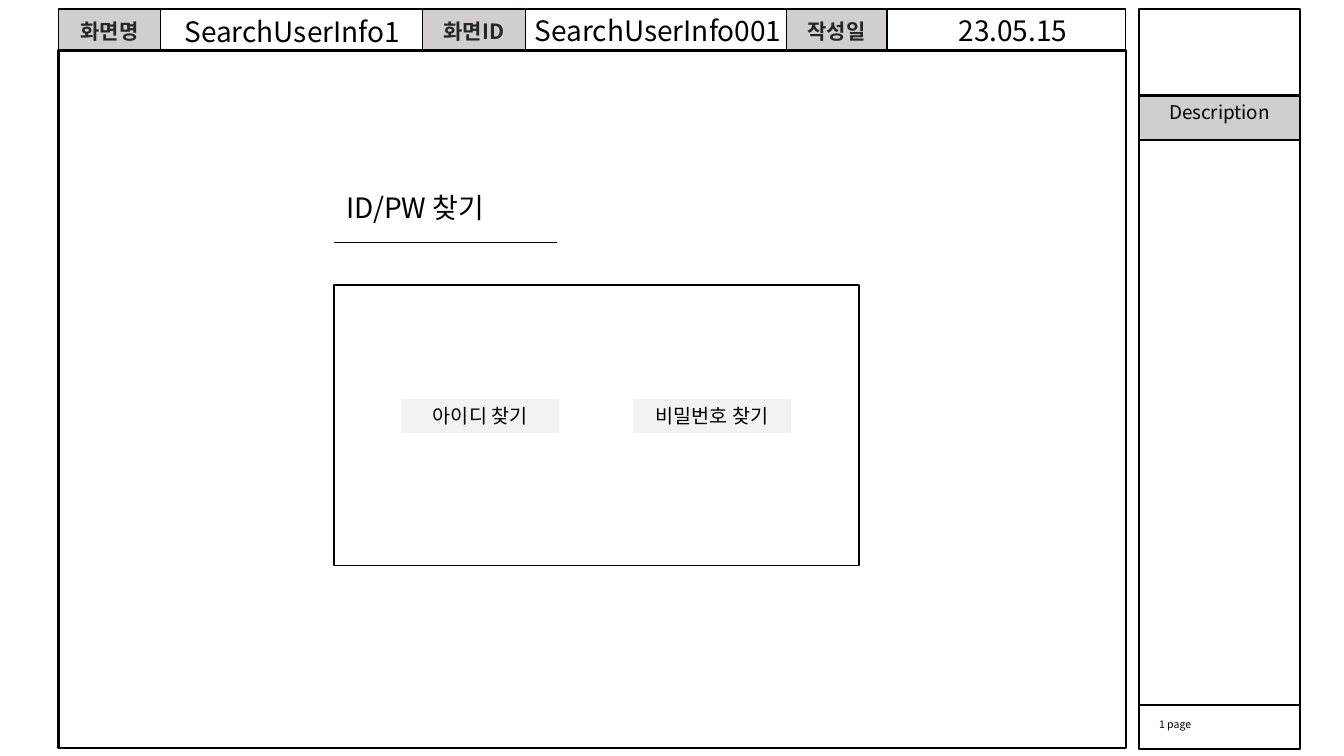
"""Build the ID/PW search screen of a storyboard."""
from lxml import etree
from pptx import Presentation
from pptx.dml.color import RGBColor
from pptx.enum import shapes, text
from pptx.oxml import ns
from pptx.util import Pt

FONT = "Noto Sans CJK KR"
BLACK = RGBColor(0x00, 0x00, 0x00)
CHARCOAL = RGBColor(0x26, 0x26, 0x26)
GREY = RGBColor(0xD0, 0xCE, 0xCE)
PALE = RGBColor(0xF2, 0xF2, 0xF2)
LEFT, CENTER = text.PP_ALIGN.LEFT, text.PP_ALIGN.CENTER
TOP, MIDDLE = text.MSO_ANCHOR.TOP, text.MSO_ANCHOR.MIDDLE


def write(tf, string, size=20, color=BLACK, bold=False, align=CENTER, anchor=TOP):
    tf.word_wrap = True
    tf.vertical_anchor = anchor
    p = tf.paragraphs[0]
    p.alignment = align
    r = p.add_run()
    r.text = string
    r.font.size, r.font.bold, r.font.name = Pt(size), bold, FONT
    r.font.color.rgb = color
    etree.SubElement(r.font._element, ns.qn("a:ea"), typeface=FONT)


def box(left, top, width, height, fill=None, line=None):
    sp = s.shapes.add_shape(shapes.MSO_SHAPE.RECTANGLE, Pt(left), Pt(top), Pt(width), Pt(height))
    sp.shadow.inherit = False
    if fill is None:
        sp.fill.background()
    else:
        sp.fill.solid()
        sp.fill.fore_color.rgb = fill
    if line is None:
        sp.line.fill.background()
    else:
        sp.line.color.rgb = BLACK
        sp.line.width = Pt(line)
    return sp


prs = Presentation()
prs.slide_width, prs.slide_height = Pt(960), Pt(540)
s = prs.slides.add_slide(prs.slide_layouts[5])

title = s.shapes.title
title.left, title.top, title.width, title.height = Pt(233.3), Pt(132.5), Pt(126.7), Pt(31.7)
title.text_frame.auto_size = text.MSO_AUTO_SIZE.NONE
write(title.text_frame, "ID/PW 찾기")

labels = ["화면명", "", "화면ID", "", "작성일", ""]
widths = [72.7, 187.2, 73.4, 186.5, 72, 170.6]
header = s.shapes.add_table(1, len(labels), Pt(41.8), Pt(6.5), Pt(sum(widths)), Pt(30.2)).table
header.first_row = header.horz_banding = False
header.rows[0].height = Pt(30.2)
for column, width, cell, label in zip(header.columns, widths, header.rows[0].cells, labels):
    column.width = Pt(width)
    cell.margin_left = cell.margin_right = Pt(6.5)
    cell.margin_top = cell.margin_bottom = Pt(4)
    cell.vertical_anchor = MIDDLE
    tcPr = cell._tc.get_or_add_tcPr()
    for side in ("lnL", "lnR", "lnT", "lnB"):
        ln = etree.SubElement(tcPr, ns.qn(f"a:{side}"), w=str(Pt(1)))
        solid = etree.SubElement(ln, ns.qn("a:solidFill"))
        etree.SubElement(solid, ns.qn("a:srgbClr"), val=str(BLACK))
    if label:
        cell.fill.solid()
        cell.fill.fore_color.rgb = GREY
        write(cell.text_frame, label, size=15, color=CHARCOAL, bold=True, anchor=MIDDLE)
    else:
        cell.fill.background()
        etree.SubElement(cell.text_frame.paragraphs[0]._p, ns.qn("a:endParaRPr"), sz="1200")

box(41.8, 36, 762.4, 498.2, line=1.5)
for top, height, fill in [(6.5, 61.5, None), (100, 403.3, None), (503.3, 31.7, None), (68.3, 31.7, GREY)]:
    box(813.6, top, 115.2, height, fill=fill, line=1.5)

for string, left, top, width, height, style in [
    ("Description", 828, 68.3, 90, 24, {"size": 13.5, "align": LEFT}),
    ("1 page", 820.8, 509, 95, 16.6, {"size": 7.5, "align": LEFT}),
    ("SearchUserInfo1", 122.4, 6.5, 172.8, 31.7, {}),
    ("SearchUserInfo001", 368.6, 5.8, 203, 31.7, {}),
    ("23.05.15", 644.4, 5.8, 158.4, 31.7, {}),
]:
    tb = s.shapes.add_textbox(Pt(left), Pt(top), Pt(width), Pt(height))
    write(tb.text_frame, string, **style)

rule = s.shapes.add_connector(shapes.MSO_CONNECTOR.STRAIGHT, Pt(238.5), Pt(173.3), Pt(398.2), Pt(173.3))
rule.line.color.rgb = BLACK
rule.line.width = Pt(1.25)
etree.SubElement(rule._element.spPr, ns.qn("a:effectLst"))

box(238.5, 203.8, 375, 200.2, line=1.25)
for i, string in enumerate(["아이디 찾기", "비밀번호 찾기"]):
    button = box(286.6 + i * 165.6, 285, 113, 24.5, fill=PALE)
    write(button.text_frame, string, size=14, anchor=MIDDLE)

prs.save("out.pptx")
